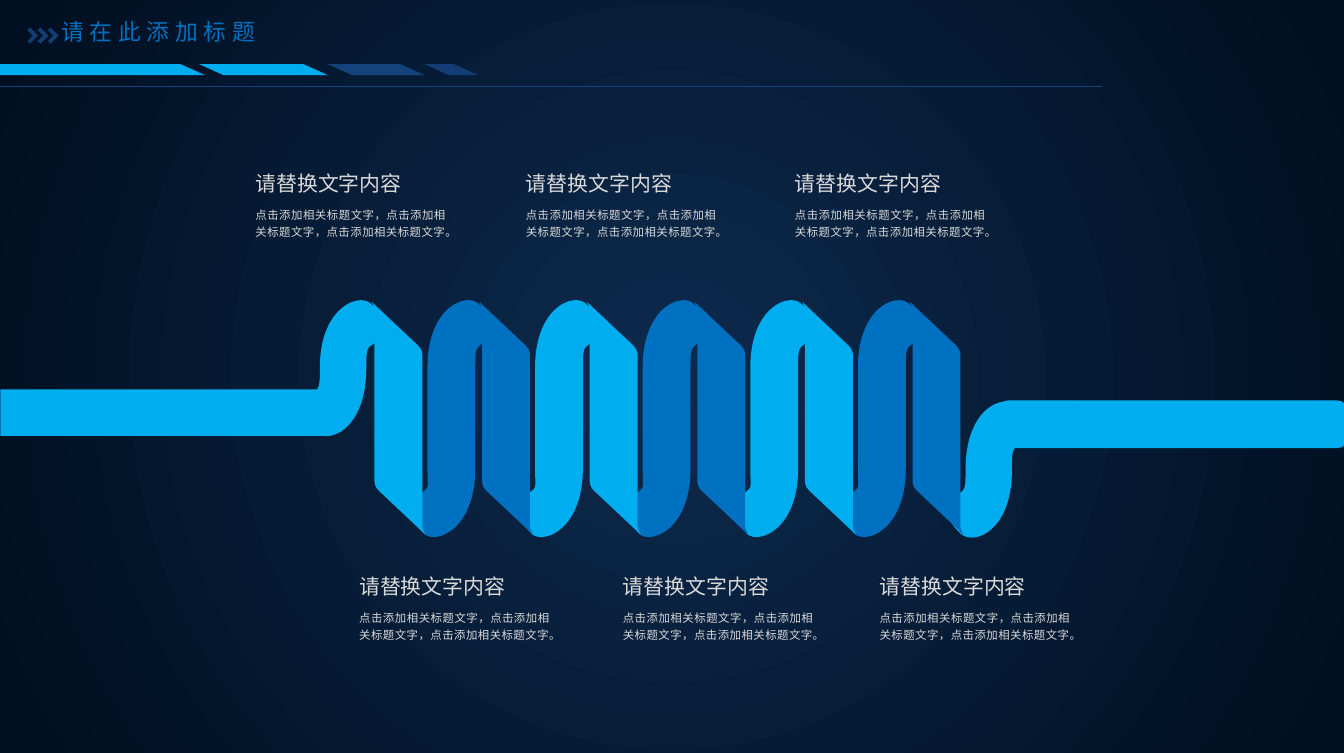
from lxml import etree
from pptx import Presentation
from pptx import util as u
from pptx.dml.color import RGBColor
from pptx.enum import shapes, text
from pptx.oxml.ns import qn

WIDTH, HEIGHT = 9.84, 5.51
COLOURS = {"sky": "00AEEF", "blue": "0070C0", "navy": "14427A", "dusk": "133E73",
           "text": "D9D9D9", "centre": "0D2A4D", "edge": "000F21"}
EAST_ASIAN = "Noto Sans CJK SC"
HEADING = "请替换文字内容"
BODY = "点击添加相关标题文字，" * 2 + "点击添加相关标题文字。"

# Outlines in inches: a pair is a straight step, six numbers are a Bézier curve.
CHEVRON = [(0, .02), (.02, 0), (.08, .06), (.02, .12), (0, .1), (.04, .06)]
TURN = [(.35, 1.23), (.35, .49), (.35, .41, .35, .36, .37, .34),
        (.43, .28, .5, .31, .51, .26), (.53, .2, .43, .07, .37, .02),
        (.28, -.06, 0, .05, 0, .49), (0, 1.23), (0, 1.31, .01, 1.37, -.01, 1.38),
        (-.08, 1.45, -.14, 1.42, -.16, 1.46), (-.18, 1.52, -.08, 1.65, -.02, 1.71),
        (.07, 1.78, .35, 1.67, .35, 1.23)]
SLANT = [(.35, 1.65), (.35, .4), (.35, .39, .35, .36, .32, .33), (-.02, .01),
         (-.02, .02, 0, .04, 0, .08), (0, 1.32), (0, 1.33, 0, 1.36, .03, 1.39),
         (.37, 1.71), (.37, 1.7, .35, 1.68, .35, 1.65)]
HEAD = [(.27, 0), (.31, -.01, .35, 0, .37, .02), (.43, .07, .52, .2, .51, .26),
        (.49, .31, .43, .28, .36, .34), (.34, .36, .34, .41, .34, .49),
        (.34, .83, .19, .97, .07, .99), (-2.34, .99), (-2.34, .65), (-.02, .65),
        (-.01, .63), (0, .6, 0, .56, 0, .49), (0, .16, .16, .02, .27, 0)]
TAIL = [(.32, .73), (2.72, .73), (2.77, .73, 2.8, .77, 2.8, .81), (2.8, .99),
        (2.8, 1.04, 2.77, 1.08, 2.72, 1.08), (.36, 1.08),
        (.34, 1.1, .34, 1.15, .34, 1.24), (.34, 1.68, .07, 1.79, -.03, 1.71),
        (-.09, 1.66, -.18, 1.53, -.16, 1.47), (-.15, 1.43, -.08, 1.45, -.02, 1.39),
        (0, 1.37, 0, 1.32, 0, 1.24), (0, .9, .15, .76, .27, .74),
        (.29, .73, .31, .73, .32, .73)]


def rgb(name):
    return RGBColor.from_string(COLOURS[name])


def paint(shape, colour):
    shape.shadow.inherit = False
    shape.fill.solid()
    shape.fill.fore_color.rgb = rgb(colour)
    shape.line.fill.background()


def add_outline(page, outline, left, top, colour):
    """Build the outline from its corners, then bend the curved steps."""
    corners = [(u.Inches(left + step[-2]), u.Inches(top + step[-1])) for step in outline]
    builder = page.shapes.build_freeform(*corners[0])
    builder.add_line_segments(corners[1:], close=True)
    shape = builder.convert_to_shape()
    for segment, step in zip(list(shape.element.iter(qn("a:lnTo"))), outline[1:]):
        if len(step) == 6:
            segment.tag = qn("a:cubicBezTo")
            for index in (0, 1):
                x, y = step[2 * index:2 * index + 2]
                handle = etree.Element(qn("a:pt"), x=str(u.Inches(left + x) - shape.left),
                                       y=str(u.Inches(top + y) - shape.top))
                segment.insert(index, handle)
    paint(shape, colour)


def format_span(span, size, font, colour):
    span.font.size = u.Pt(size)
    span.font.name = font
    span.font.color.rgb = rgb(colour)
    etree.SubElement(span.font._element, qn("a:ea")).set("typeface", EAST_ASIAN)


def add_background(page):
    fill = page.background.fill
    fill.gradient()
    for stop, colour, position in zip(fill.gradient_stops, ("centre", "edge"), (0, .97)):
        stop.color.rgb = rgb(colour)
        stop.position = position
    gradient = next(page.element.iter(qn("a:gradFill")))
    gradient.remove(gradient.find(qn("a:lin")))
    circle = etree.SubElement(gradient, qn("a:path"), path="circle")
    etree.SubElement(circle, qn("a:fillToRect"), l="50000", t="50000", r="50000", b="50000")


def add_title(page, left, top, width, height):
    title = page.shapes.title
    title.left, title.top = u.Inches(left), u.Inches(top)
    title.width, title.height = u.Inches(width), u.Inches(height)
    frame = title.text_frame
    frame.text = "请在此添加标题"
    frame.word_wrap = False
    frame.auto_size = text.MSO_AUTO_SIZE.NONE
    frame.vertical_anchor = text.MSO_ANCHOR.TOP
    para = frame.paragraphs[0]
    para.alignment = text.PP_ALIGN.LEFT
    format_span(para.runs[0], 12, EAST_ASIAN, "blue")
    para.runs[0].font._element.set("spc", "300")


def add_header(page, left, top, width):
    add_title(page, left + .35, top + .08, 1.67, .3)
    for index in range(3):
        add_outline(page, CHEVRON, left + .2 + .075 * index, top + .2, "dusk")
    bars = [(-1.61, 3.11, "sky"), (1.46, .94, "sky"), (2.4, .71, "navy"), (3.11, .39, "dusk")]
    for start, length, colour in bars:
        bar = page.shapes.add_shape(shapes.MSO_SHAPE.PARALLELOGRAM, u.Inches(left + start),
                                    u.Inches(top + .47), u.Inches(length), u.Inches(.08))
        bar.adjustments[0] = 2.21
        bar.element.spPr.find(qn("a:xfrm")).set("flipV", "1")
        paint(bar, colour)
    rule = page.shapes.add_connector(shapes.MSO_CONNECTOR.STRAIGHT, u.Inches(left),
                                     u.Inches(top + .63), u.Inches(left + width),
                                     u.Inches(top + .63))
    rule.line.color.rgb = rgb("navy")
    rule.line.width = u.Pt(.5)
    etree.SubElement(rule.element.spPr, qn("a:effectLst"))


def add_coil(page, left, top, width, turns=5):
    """Draw the ribbon right to left, so each slant covers the turn after it."""
    pitch = width / turns
    add_outline(page, TAIL, left + width, top, "sky")
    for index in reversed(range(turns + 1)):
        colour = "blue" if index % 2 else "sky"
        column = left + pitch * (index - 1)
        add_outline(page, TURN if index else HEAD, column, top, colour)
        add_outline(page, SLANT, column + .4, top, colour)


def add_caption(page, left, top):
    parts = [(HEADING, 0, 1.43, .26, 11, "Calibri"), (BODY, .24, 1.53, .32, 6, "Arial")]
    for words, drop, width, height, size, font in parts:
        box = page.shapes.add_textbox(u.Inches(left), u.Inches(top + drop),
                                      u.Inches(width), u.Inches(height))
        frame = box.text_frame
        frame.word_wrap = True
        frame.margin_left = frame.margin_right = u.Inches(.07)
        frame.margin_top = frame.margin_bottom = u.Inches(.03)
        frame.text = words
        para = frame.paragraphs[0]
        if words == BODY:
            para.alignment = text.PP_ALIGN.JUSTIFY
            para.line_spacing = 1.3
        format_span(para.runs[0], size, font, "text")


def main():
    deck = Presentation()
    deck.slide_width, deck.slide_height = u.Inches(WIDTH), u.Inches(HEIGHT)
    page = deck.slides.add_slide(deck.slide_layouts[5])
    add_background(page)
    add_header(page, 0, 0, 8.07)
    add_coil(page, 3.13, 2.2, 3.94)
    for top, lefts in ((1.22, (1.8, 3.78, 5.75)), (4.17, (2.56, 4.49, 6.37))):
        for left in lefts:
            add_caption(page, left, top)
    deck.save("out.pptx")


if __name__ == "__main__":
    main()
